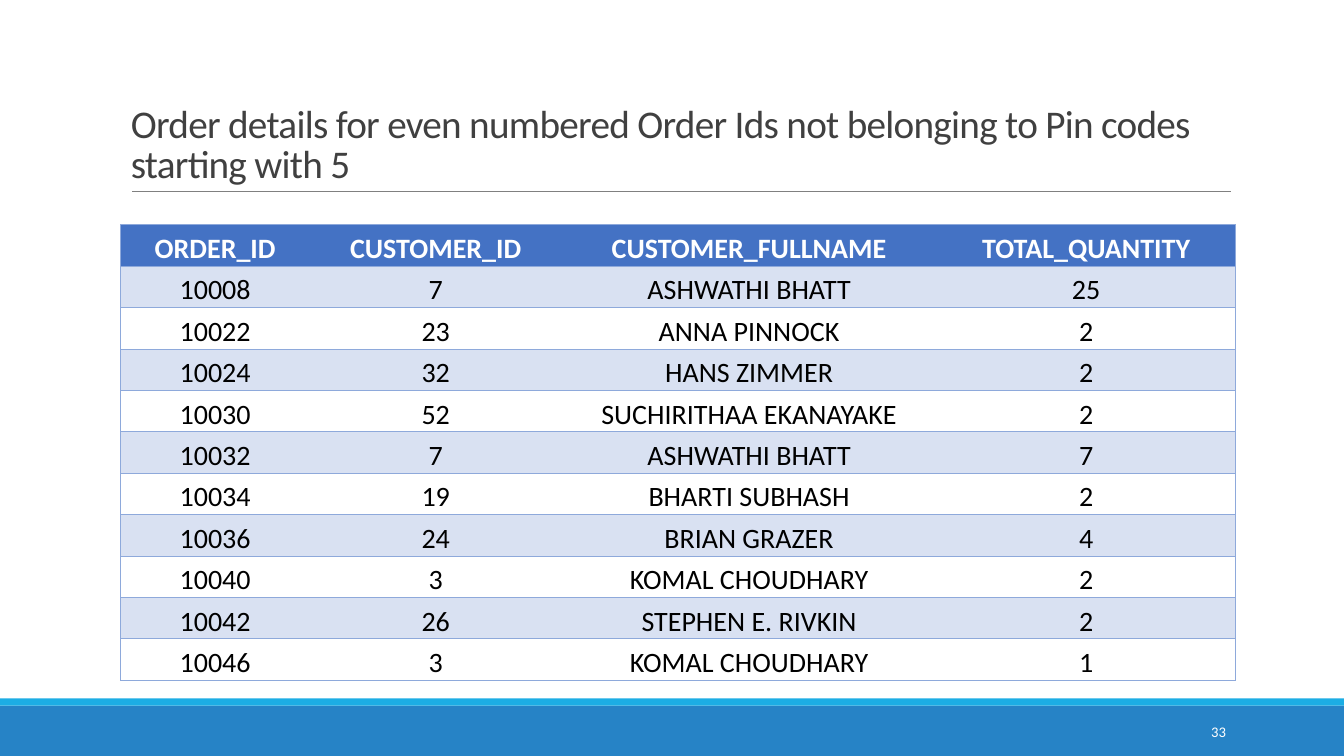
"""Build the slide listing even numbered orders outside Pin codes starting with 5."""
from lxml.etree import SubElement
from pptx import Presentation
from pptx.dml.color import RGBColor
from pptx.enum.shapes import MSO_CONNECTOR as CONNECTOR, MSO_SHAPE as SHAPE
from pptx.enum.text import MSO_ANCHOR as ANCHOR, MSO_AUTO_SIZE as FIT, PP_ALIGN as ALIGN
from pptx.oxml.ns import qn
from pptx.util import Pt

PX = 9525
COLORS = {
    "footer": "2683C6", "accent": "1CADE4", "rule": "808080", "title": "404040",
    "header": "4472C4", "band": "D9E1F2", "border": "8EA9DB",
    "white": "FFFFFF", "black": "000000",
}
ORDERS = [
    ("ORDER_ID", "CUSTOMER_ID", "CUSTOMER_FULLNAME", "TOTAL_QUANTITY"),
    ("10008", "7", "ASHWATHI BHATT", "25"),
    ("10022", "23", "ANNA PINNOCK", "2"),
    ("10024", "32", "HANS ZIMMER", "2"),
    ("10030", "52", "SUCHIRITHAA EKANAYAKE", "2"),
    ("10032", "7", "ASHWATHI BHATT", "7"),
    ("10034", "19", "BHARTI SUBHASH", "2"),
    ("10036", "24", "BRIAN GRAZER", "4"),
    ("10040", "3", "KOMAL CHOUDHARY", "2"),
    ("10042", "26", "STEPHEN E. RIVKIN", "2"),
    ("10046", "3", "KOMAL CHOUDHARY", "1"),
]
COLUMN_WIDTHS = [180, 240, 357, 285]


def write(frame, text, size, color, align, anchor, bold=False):
    frame.word_wrap = True
    frame.vertical_anchor = anchor
    paragraph = frame.paragraphs[0]
    paragraph.alignment = align
    run = paragraph.add_run()
    run.text = text
    run.font.name = "Calibri"
    run.font.size = Pt(size)
    run.font.bold = bold
    run.font.color.rgb = RGBColor.from_string(COLORS[color])
    return run


def add_border(cell, side, visible):
    line = SubElement(cell._tc.get_or_add_tcPr(), qn(f"a:ln{side}"), w=str(Pt(0.5)))
    if visible:
        fill = SubElement(line, qn("a:solidFill"))
        SubElement(fill, qn("a:srgbClr"), val=COLORS["border"])
    else:
        SubElement(line, qn("a:noFill"))


deck = Presentation()
deck.slide_width, deck.slide_height = 1280 * PX, 720 * PX
slide = deck.slides.add_slide(deck.slide_layouts[5])
shapes = slide.shapes

for color, top, height in [("footer", 672, 48), ("accent", 665, 7)]:
    bar = shapes.add_shape(SHAPE.RECTANGLE, 0, top * PX, 1280 * PX, height * PX)
    bar.shadow.inherit = False
    bar.fill.solid()
    bar.fill.fore_color.rgb = RGBColor.from_string(COLORS[color])
    bar.line.fill.background()

rule = shapes.add_connector(CONNECTOR.STRAIGHT, 126 * PX, 182 * PX, 1172 * PX, 182 * PX)
rule.line.color.rgb = RGBColor.from_string(COLORS["rule"])
rule.line.width = Pt(0.5)
SubElement(rule._element.spPr, qn("a:effectLst"))

title = shapes.title
title.left, title.top, title.width, title.height = 115 * PX, 30 * PX, 1056 * PX, 152 * PX
heading = write(
    title.text_frame,
    "Order details for even numbered Order Ids not belonging to Pin codes starting with 5",
    28, "title", ALIGN.LEFT, ANCHOR.BOTTOM,
)
heading.font._element.set("spc", "-50")
title.text_frame.auto_size = FIT.NONE
title.text_frame.paragraphs[0].line_spacing = 0.85

page_number = shapes.add_textbox(1040 * PX, 678 * PX, 137 * PX, 38 * PX)
write(page_number.text_frame, "33", 10.5, "white", ALIGN.RIGHT, ANCHOR.MIDDLE)

orders = shapes.add_table(
    len(ORDERS), len(COLUMN_WIDTHS), 115 * PX, 214 * PX, sum(COLUMN_WIDTHS) * PX, 434 * PX
).table
orders.horz_banding = False
for column, width in zip(orders.columns, COLUMN_WIDTHS):
    column.width = width * PX

for row, order in enumerate(ORDERS):
    is_header = row == 0
    for col, value in enumerate(order):
        cell = orders.cell(row, col)
        cell.margin_left = cell.margin_right = cell.margin_top = PX
        cell.margin_bottom = 0
        add_border(cell, "L", col == 0)
        add_border(cell, "R", col == len(order) - 1)
        add_border(cell, "T", True)
        add_border(cell, "B", True)
        if is_header or row % 2:
            cell.fill.solid()
            cell.fill.fore_color.rgb = RGBColor.from_string(COLORS["header" if is_header else "band"])
        else:
            cell.fill.background()
        cell_color = "white" if is_header else "black"
        write(cell.text_frame, value, 20, cell_color, ALIGN.CENTER, ANCHOR.TOP, is_header)
        cell.vertical_anchor = ANCHOR.BOTTOM

deck.save("out.pptx")
